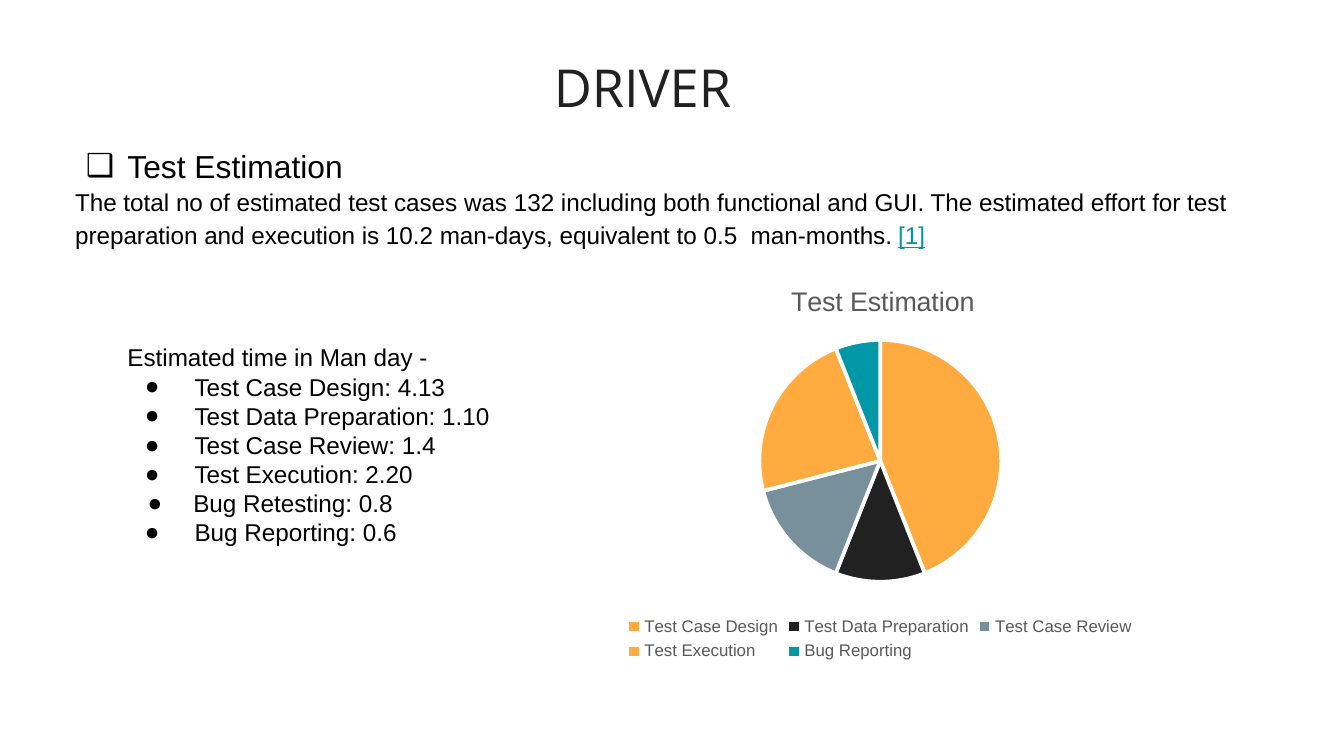
from typing import NamedTuple

from lxml import etree
from pptx import Presentation
from pptx.chart import data as cd
from pptx.dml import color
from pptx.enum import chart as ec, text
from pptx.oxml import ns
from pptx.util import Inches, Pt

BLACK, DARK, GREY = "000000", "212121", "595959"
ORANGE, SLATE, TEAL, WHITE = "FFAB40", "78909C", "0097A7", "FFFFFF"
BODY_SIZE = 13


class Run(NamedTuple):
    text: str
    size: float = BODY_SIZE
    color: str = BLACK
    underline: bool = False
    font: str = "Arial"


class Para(NamedTuple):
    runs: list[Run]
    left: float = 0
    indent: float = 0
    bullet: str = ""
    spacing: float = 1.0
    align: text.PP_ALIGN = text.PP_ALIGN.LEFT


class Effort(NamedTuple):
    label: str
    left: float = 1.01
    indent: float = -0.37


class Slice(NamedTuple):
    name: str
    value: int
    color: str


def rgb(value: str) -> color.RGBColor:
    return color.RGBColor.from_string(value)


def style_font(f, size: float, hex_color: str, name: str = "Arial") -> None:
    f.size, f.name, f.bold = Pt(size), name, False
    f.color.rgb = rgb(hex_color)


def add_para(p, para: Para) -> None:
    p.alignment, p.line_spacing = para.align, para.spacing
    pPr = p._p.get_or_add_pPr()
    pPr.set("marL", str(Inches(para.left)))
    pPr.set("indent", str(Inches(para.indent)))
    if para.bullet:
        clr = etree.SubElement(pPr, ns.qn("a:buClr"))
        etree.SubElement(clr, ns.qn("a:srgbClr"), val=BLACK)
        etree.SubElement(pPr, ns.qn("a:buFont"), typeface="Arial")
        etree.SubElement(pPr, ns.qn("a:buChar"), char=para.bullet)
    for run in para.runs:
        r = p.add_run()
        r.text = run.text
        style_font(r.font, run.size, run.color, run.font)
        r.font.underline = run.underline


def add_text(s, x: float, y: float, w: float, h: float, paras: list[Para],
             inset_x: float = 0.1, inset_y: float = 0.1) -> None:
    tf = s.shapes.add_textbox(Inches(x), Inches(y), Inches(w), Inches(h)).text_frame
    tf.word_wrap = True
    tf.margin_left = tf.margin_right = Inches(inset_x)
    tf.margin_top = tf.margin_bottom = Inches(inset_y)
    for i, para in enumerate(paras):
        add_para(tf.add_paragraph() if i else tf.paragraphs[0], para)


def set_layout(element, **fractions: float) -> None:
    """Place a chart part by fractions of the chart area."""
    layout = element.find(ns.qn("c:layout"))
    if layout is None:
        layout = etree.Element(ns.qn("c:layout"))
        tx = element.find(ns.qn("c:tx"))
        element.insert(0 if tx is None else element.index(tx) + 1, layout)
    manual = etree.SubElement(layout, ns.qn("c:manualLayout"))
    if "w" in fractions:
        etree.SubElement(manual, ns.qn("c:layoutTarget"), val="inner")
    for axis in "xy":
        etree.SubElement(manual, ns.qn(f"c:{axis}Mode"), val="edge")
    for key, value in fractions.items():
        etree.SubElement(manual, ns.qn(f"c:{key}"), val=str(value))


def add_pie(s, title: str, slices: list[Slice]) -> None:
    data = cd.CategoryChartData()
    data.categories = [c.name for c in slices]
    data.add_series("Series 1", [c.value for c in slices])
    chart = s.shapes.add_chart(ec.XL_CHART_TYPE.PIE, Inches(4.05), Inches(1.96),
                               Inches(5), Inches(3), data).chart
    style_font(chart.font, 10, BLACK)

    chart.has_title = True
    r = chart.chart_title.text_frame.paragraphs[0].add_run()
    r.text = title
    style_font(r.font, 14.4, GREY)
    chart.chart_title.include_in_layout = False
    set_layout(chart.chart_title._element, x=0.36, y=0.04)

    chart.has_legend = True
    chart.legend.position = ec.XL_LEGEND_POSITION.BOTTOM
    chart.legend.include_in_layout = False
    style_font(chart.legend.font, 9, GREY)

    plot = chart.plots[0]
    plot.vary_by_categories = True
    set_layout(chart._chartSpace.chart.plotArea, x=0.32, y=0.19, w=0.36, h=0.6)
    for i, c in enumerate(slices):
        fmt = plot.series[0].points[i].format
        fmt.fill.solid()
        fmt.fill.fore_color.rgb = rgb(c.color)
        fmt.line.color.rgb = rgb(WHITE)
        fmt.line.width = Pt(2)


prs = Presentation()
prs.slide_width = Inches(10)
prs.slide_height = Inches(10 * 9 / 16)
s = prs.slides.add_slide(prs.slide_layouts[6])

# Title
add_text(s, 0.12, 0.41, 9.32, 0.63,
         [Para([Run("DRIVER", 28, DARK, font="Open Sans")],
               align=text.PP_ALIGN.CENTER)], 0, 0)

# Summary
add_text(s, 0.34, 1.26, 9.32, 0.7, [Para([
    Run("The total no of estimated test cases was 132 including both functional "
        "and GUI. The estimated effort for test preparation and execution is "
        "10.2 man-days, equivalent to 0.5  man-months. "),
    Run("[1]", color=TEAL, underline=True)], left=0.12, spacing=1.15)])

# Effort list
efforts = [
    Effort("Test Case Design: 4.13"),
    Effort("Test Data Preparation: 1.10"),
    Effort("Test Case Review: 1.4"),
    Effort("Test Execution: 2.20"),
    Effort("Bug Retesting: 0.8", 1, -0.34),
    Effort("Bug Reporting: 0.6"),
]
add_text(s, 0.34, 2.45, 3.7, 1.75,
         [Para([Run("Estimated time in Man day -")], left=0.51)]
         + [Para([Run(e.label)], e.left, e.indent, "●") for e in efforts])

# Section heading
add_text(s, 0.54, 1.04, 9.34, 0.4,
         [Para([Run("Test Estimation", 17)], 0.31, -0.31, "❑")], 0.1, 0.05)

# Effort shares
add_pie(s, "Test Estimation", [
    Slice("Test Case Design", 44, ORANGE),
    Slice("Test Data Preparation", 12, DARK),
    Slice("Test Case Review", 15, SLATE),
    Slice("Test Execution", 23, ORANGE),
    Slice("Bug Reporting", 6, TEAL),
])

prs.save("out.pptx")
